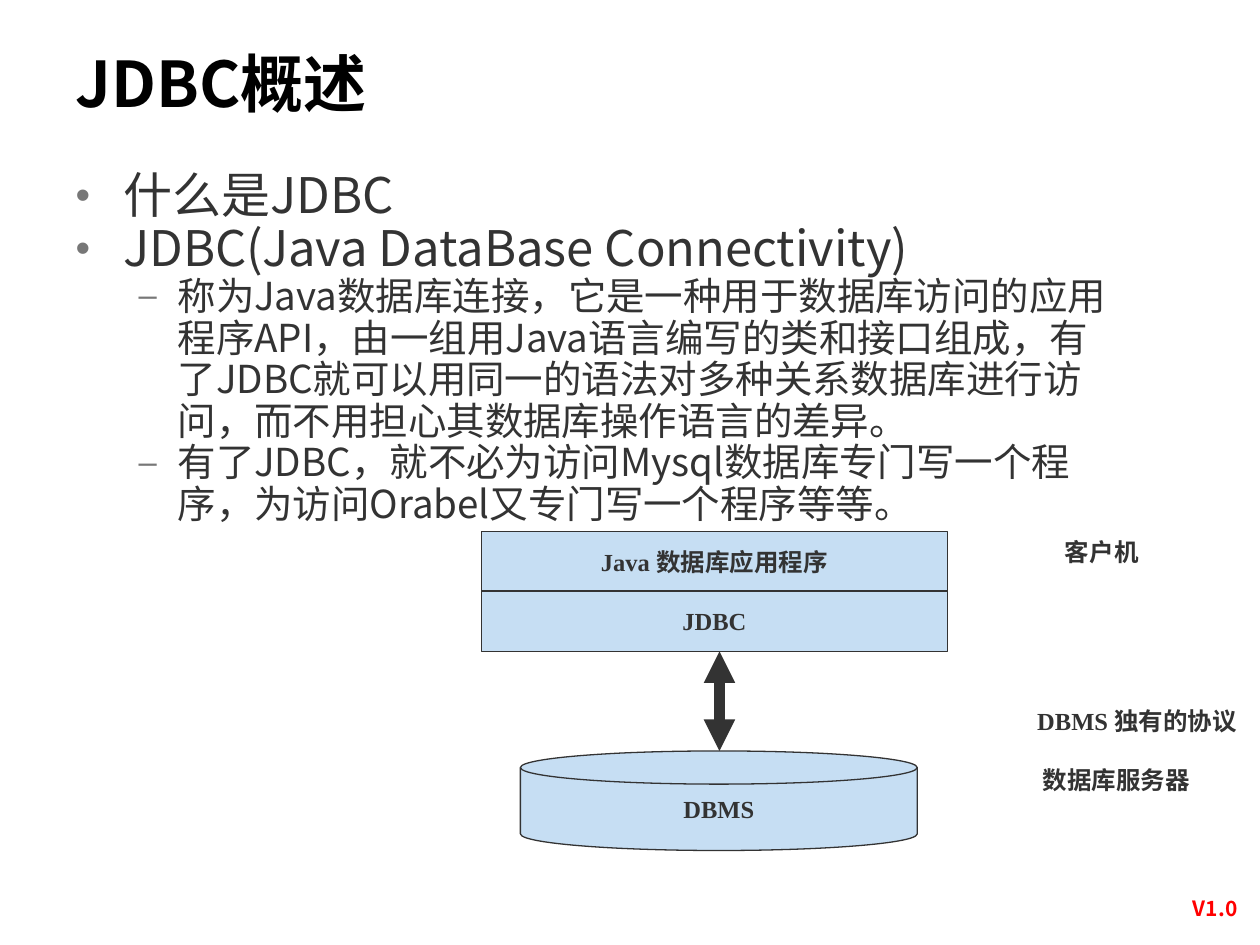
from lxml import etree
from pptx import Presentation
from pptx.dml.color import RGBColor
from pptx.enum.shapes import MSO_CONNECTOR as Connector, MSO_SHAPE as Shape
from pptx.enum.text import MSO_ANCHOR as Anchor, MSO_AUTO_SIZE as AutoSize, PP_ALIGN as Align
from pptx.oxml.ns import qn
from pptx.util import Inches, Pt

SANS, SERIF = "Noto Sans CJK SC", "Times New Roman"
INK, PALE_BLUE, GREY = "333333", "C6DEF3", "777777"


def color(value):
    return RGBColor.from_string(value)


def add_span(para, text, size, font=SANS, ink=INK, bold=False):
    """Add one run, with the sans face for its Chinese characters."""
    span = para.add_run()
    span.text = text
    span.font.size = Pt(size)
    span.font.name = font
    span.font.bold = bold
    span.font.color.rgb = color(ink)
    latin = span.font._element.find(qn("a:latin"))
    latin.addnext(latin.makeelement(qn("a:ea"), {"typeface": SANS}))


deck = Presentation()
deck.slide_width, deck.slide_height = Inches(10), Inches(7.5)
page = deck.slides.add_slide(deck.slide_layouts[1])

# Title
title = page.shapes.title
title.left, title.top = Inches(0.5), Inches(0.3)
title.width, title.height = Inches(8.92), Inches(0.65)
title.text_frame.auto_size = AutoSize.NONE
title.text_frame.vertical_anchor = Anchor.TOP
para = title.text_frame.paragraphs[0]
para.alignment = Align.LEFT
add_span(para, "JDBC概述", 36, ink="000000", bold=True)

# Bulleted list
body = page.placeholders[1]
body.left, body.top = Inches(0.5), Inches(1.31)
body.width, body.height = Inches(8.44), Inches(4.57)
body.text_frame.auto_size = AutoSize.NONE
levels = [("•", 28, 0.38, -0.38), ("–", 22, 0.81, -0.31)]
points = [
    (0, "什么是JDBC"),
    (0, "JDBC(Java DataBase Connectivity)"),
    (1, "称为Java数据库连接，它是一种用于数据库访问的应用程序API，由一组用Java语言编写的类和接口组成，"
        "有了JDBC就可以用同一的语法对多种关系数据库进行访问，而不用担心其数据库操作语言的差异。"),
    (1, "有了JDBC，就不必为访问Mysql数据库专门写一个程序，为访问Orabel又专门写一个程序等等。"),
]
for index, (level, text) in enumerate(points):
    para = body.text_frame.add_paragraph() if index else body.text_frame.paragraphs[0]
    bullet, size, margin, indent = levels[level]
    para.level = level
    para.line_spacing = 0.9
    para.space_before = Pt(0)
    props = para._p.get_or_add_pPr()
    props.set("marL", str(Inches(margin)))
    props.set("indent", str(Inches(indent)))
    props.set("hangingPunct", "0")
    bullet_color = etree.SubElement(props, qn("a:buClr"))
    etree.SubElement(bullet_color, qn("a:srgbClr"), val=GREY)
    etree.SubElement(props, qn("a:buSzPct"), val="85000")
    etree.SubElement(props, qn("a:buChar"), char=bullet)
    add_span(para, text, size)

# Client layers and database
blocks = [
    (Shape.FLOWCHART_MAGNETIC_DISK, 4.13, 5.96, 3.15, 0.79, "DBMS"),
    (Shape.RECTANGLE, 3.82, 4.22, 3.7, 0.47, "Java 数据库应用程序"),
    (Shape.RECTANGLE, 3.82, 4.69, 3.7, 0.48, "JDBC"),
]
for kind, left, top, width, height, text in blocks:
    block = page.shapes.add_shape(kind, Inches(left), Inches(top), Inches(width), Inches(height))
    block.shadow.inherit = False
    block.fill.solid()
    block.fill.fore_color.rgb = color(PALE_BLUE)
    block.line.color.rgb = color(INK)
    block.line.width = Pt(0.75)
    frame = block.text_frame
    frame.word_wrap = False
    frame.vertical_anchor = Anchor.MIDDLE
    frame.margin_left = frame.margin_right = Inches(0.09)
    frame.margin_top = frame.margin_bottom = Inches(0.04)
    frame.paragraphs[0].alignment = Align.CENTER
    add_span(frame.paragraphs[0], text, 14, SERIF, bold=True)

# Two-way arrow between JDBC and the database
arrow = page.shapes.add_connector(
    Connector.STRAIGHT, Inches(5.71), Inches(5.17), Inches(5.71), Inches(5.96))
arrow.line.color.rgb = color(INK)
arrow.line.width = Pt(6)
for end in ("a:headEnd", "a:tailEnd"):
    etree.SubElement(arrow.line._get_or_add_ln(), qn(end), type="triangle")
etree.SubElement(arrow._element.spPr, qn("a:effectLst"))

# Side labels and version mark
labels = [
    (7.88, 4.22, 1.73, 0.32, "客户机", 14, SERIF, INK),
    (7.33, 5.56, 3.39, 0.32, "DBMS 独有的协议", 14, SERIF, INK),
    (7.52, 6.03, 2.68, 0.32, "数据库服务器", 14, SERIF, INK),
    (9.25, 7.07, 0.79, 0.3, "V1.0", 12, SANS, "FF0000"),
]
for left, top, width, height, text, size, font, ink in labels:
    label = page.shapes.add_textbox(Inches(left), Inches(top), Inches(width), Inches(height))
    frame = label.text_frame
    frame.word_wrap = True
    frame.margin_left = frame.margin_right = Inches(0.09)
    frame.margin_top = frame.margin_bottom = Inches(0.04)
    frame.paragraphs[0].alignment = Align.CENTER
    add_span(frame.paragraphs[0], text, size, font, ink, bold=True)

deck.save("out.pptx")
